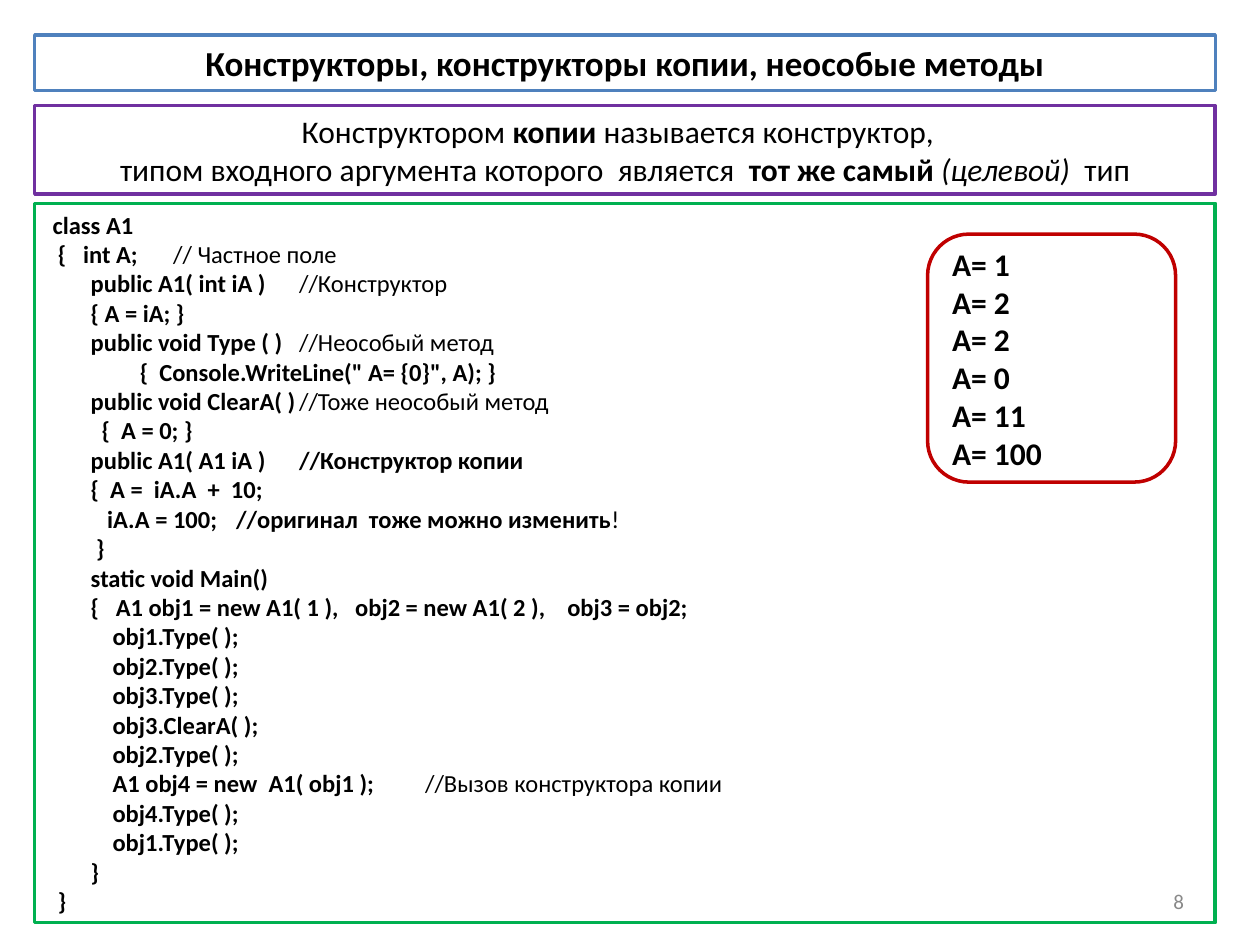
"""Build a slide about copy constructors with a code listing and its output."""
from lxml import etree
from pptx import Presentation
from pptx.dml.color import RGBColor
from pptx.enum.shapes import MSO_SHAPE
from pptx.enum.text import MSO_ANCHOR, MSO_AUTO_SIZE, PP_ALIGN
from pptx.oxml.ns import qn
from pptx.util import Cm, Pt

RECT, ROUNDED = MSO_SHAPE.RECTANGLE, MSO_SHAPE.ROUNDED_RECTANGLE
TOP, MIDDLE = MSO_ANCHOR.TOP, MSO_ANCHOR.MIDDLE
LEFT, CENTER, RIGHT = PP_ALIGN.LEFT, PP_ALIGN.CENTER, PP_ALIGN.RIGHT
NO_AUTOFIT = MSO_AUTO_SIZE.NONE

BLACK = RGBColor(0x00, 0x00, 0x00)
GRAY = RGBColor(0x89, 0x89, 0x89)
BLUE = RGBColor(0x4F, 0x81, 0xBD)
PURPLE = RGBColor(0x70, 0x30, 0xA0)
GREEN = RGBColor(0x00, 0xB0, 0x50)
RED = RGBColor(0xC0, 0x00, 0x00)

FRAME_LEFT, FRAME_WIDTH = 0.7, 23.8
INDENT_STEP = 0.11
TAB_STEP = 2.54

DEFINITION = [
    [("Конструктором ", False, False), ("копии", True, False),
     (" называется конструктор,  ", False, False)],
    [("типом входного аргумента которого  является  ", False, False),
     ("тот же самый ", True, False), ("(целевой)  ", False, True),
     ("тип", False, False)],
]

LISTING = [
    (1, "class A1", 0, "", ""),
    (2, "{   int A;", 4, "", "// Частное поле"),
    (8, "public A1( int iA )", 4, "", "//Конструктор"),
    (8, "{ A = iA; }", 0, "", ""),
    (8, "public void Type ( )", 5, "", "//Неособый метод"),
    (17, "{  Console.WriteLine(\" A= {0}\", A); }", 0, "", ""),
    (8, "public void ClearA( )", 4, "", "//Тоже неособый метод"),
    (10, "{  A = 0; }", 0, "", ""),
    (8, "public A1( A1 iA )", 4, "//Конструктор копии", ""),
    (8, "{  A =  iA.A  +  10;", 0, "", ""),
    (11, "iA.A = 100;", 3, "//оригинал  тоже можно изменить", "!"),
    (9, "}", 0, "", ""),
    (8, "static void Main()", 0, "", ""),
    (8, "{   A1 obj1 = new A1( 1 ),   obj2 = new A1( 2 ),    obj3 = obj2;", 0, "", ""),
    (12, "obj1.Type( );", 0, "", ""),
    (12, "obj2.Type( );", 0, "", ""),
    (12, "obj3.Type( );", 0, "", ""),
    (12, "obj3.ClearA( );", 0, "", ""),
    (12, "obj2.Type( );", 0, "", ""),
    (12, "A1 obj4 = new  A1( obj1 );", 4, "", "//Вызов конструктора копии"),
    (12, "obj4.Type( );", 0, "", ""),
    (12, "obj1.Type( );", 0, "", ""),
    (8, "}", 0, "", ""),
    (2, "}", 0, "", ""),
]

OUTPUT = ["A= 1", "A= 2", "A= 2", "A= 0", "A= 11", "A= 100"]


def add_frame(preset, left, top, width, height, color, anchor):
    frame = slide.shapes.add_shape(preset, Cm(left), Cm(top), Cm(width), Cm(height))
    frame.shadow.inherit = False
    frame.fill.background()
    frame.line.color.rgb = color
    frame.line.width = Pt(2)
    frame.text_frame.word_wrap = True
    frame.text_frame.vertical_anchor = anchor
    return frame.text_frame


def format_paragraph(paragraph, size, align, color=BLACK, bold=None):
    paragraph.alignment = align
    paragraph.font.name = "Calibri"
    paragraph.font.size = Pt(size)
    paragraph.font.color.rgb = color
    paragraph.font.bold = bold


prs = Presentation()
prs.slide_width, prs.slide_height = Cm(25.4), Cm(19.05)
slide = prs.slides.add_slide(prs.slide_layouts[5])

title = slide.shapes.title
title.left, title.top = Cm(FRAME_LEFT), Cm(0.71)
title.width, title.height = Cm(FRAME_WIDTH), Cm(1.12)
title.line.color.rgb = BLUE
title.line.width = Pt(2)
title.text_frame.text = "Конструкторы, конструкторы копии, неособые методы"
title.text_frame.auto_size = NO_AUTOFIT
title.text_frame.vertical_anchor = MIDDLE
format_paragraph(title.text_frame.paragraphs[0], 20, CENTER, bold=True)

page = slide.shapes.add_textbox(Cm(18.2), Cm(17.65), Cm(5.92), Cm(1.02)).text_frame
page.word_wrap = True
page.vertical_anchor = MIDDLE
page.text = "8"
format_paragraph(page.paragraphs[0], 12, RIGHT, GRAY)

definition = add_frame(RECT, FRAME_LEFT, 2.13, FRAME_WIDTH, 1.78, PURPLE, TOP)
definition.text = "\n" * (len(DEFINITION) - 1)
for paragraph, parts in zip(definition.paragraphs, DEFINITION):
    format_paragraph(paragraph, 18, CENTER)
    for words, bold, italic in parts:
        run = paragraph.add_run()
        run.text = words
        run.font.bold = bold
        run.font.italic = italic

listing = add_frame(RECT, FRAME_LEFT, 4.1, FRAME_WIDTH, 14.5, GREEN, TOP)
listing.text = "\n" * (len(LISTING) - 1)
for paragraph, (indent, code, column, strong, comment) in zip(listing.paragraphs, LISTING):
    format_paragraph(paragraph, 14, LEFT, bold=True)
    properties = paragraph.font._element.getparent()
    properties.set("marL", "0")
    properties.set("indent", str(Cm(indent * INDENT_STEP)))
    if column:
        stops = etree.Element(qn("a:tabLst"))
        etree.SubElement(stops, qn("a:tab"), pos=str(Cm(column * TAB_STEP)), algn="l")
        properties.insert(0, stops)
        code += "\t"
    paragraph.add_run().text = code + strong
    if comment:
        remark = paragraph.add_run()
        remark.text = comment
        remark.font.bold = False

output = add_frame(ROUNDED, 18.7, 4.72, 5, 5, RED, MIDDLE)
output.text = "\n".join(OUTPUT)
for paragraph in output.paragraphs:
    format_paragraph(paragraph, 18, LEFT, bold=True)

prs.save("out.pptx")
